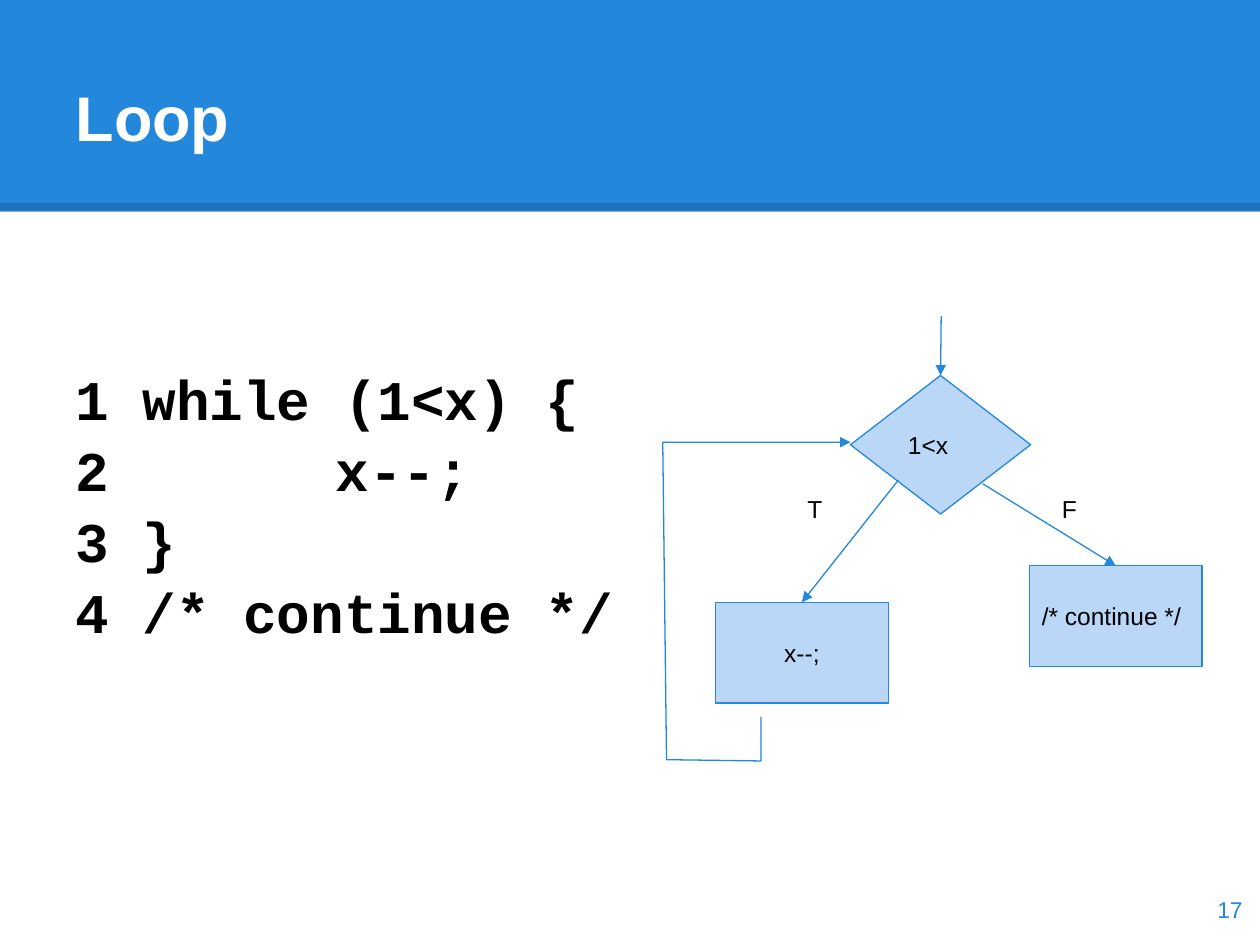
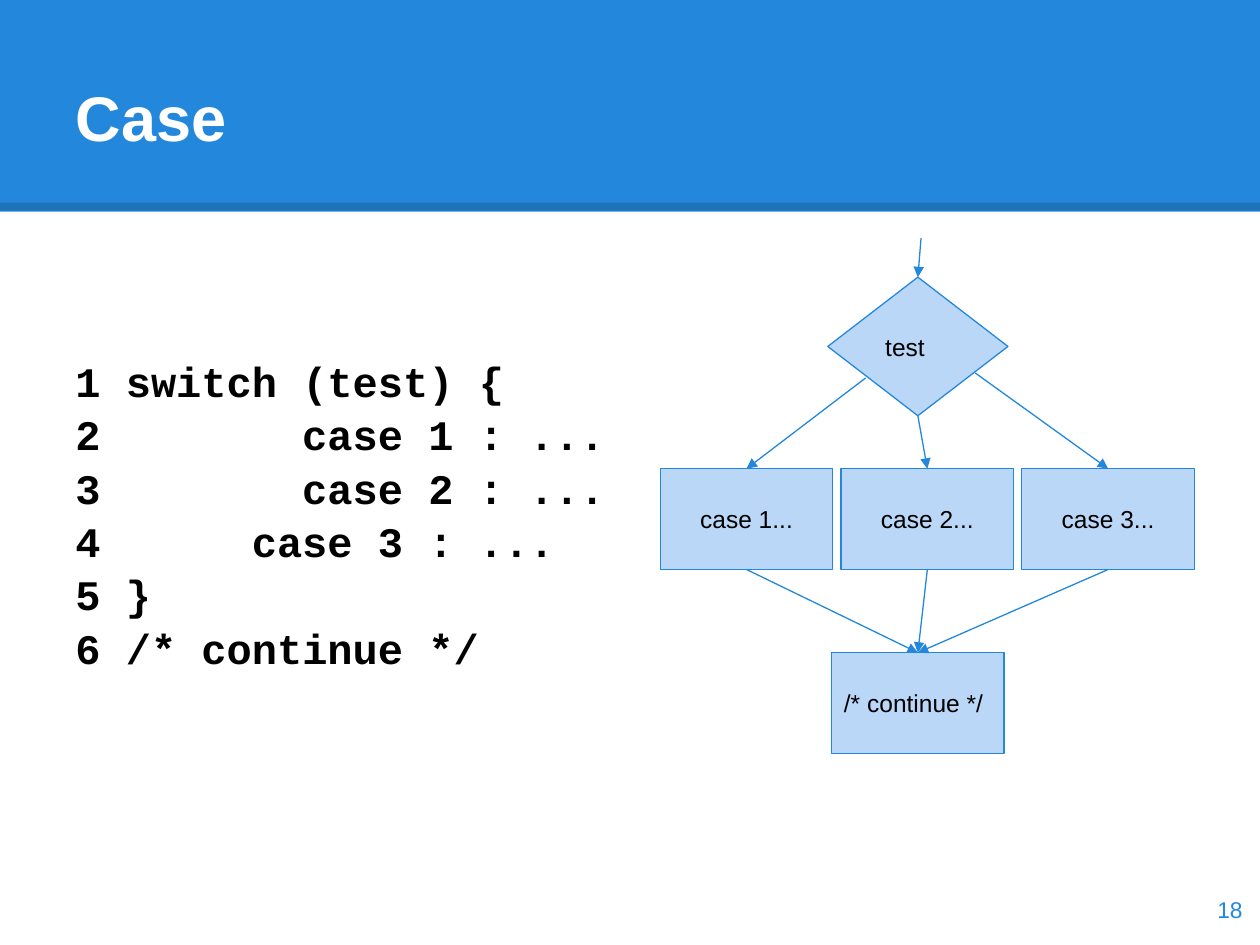
from lxml import etree
from pptx import Presentation
from pptx.dml.color import RGBColor
from pptx.enum.shapes import MSO_CONNECTOR, MSO_SHAPE
from pptx.enum.text import MSO_ANCHOR, PP_ALIGN
from pptx.oxml.ns import qn
from pptx.util import Inches, Pt

RECT, RHOMB = MSO_SHAPE.RECTANGLE, MSO_SHAPE.DIAMOND
LINE = MSO_CONNECTOR.STRAIGHT
LEFT, MID, RIGHT = PP_ALIGN.LEFT, PP_ALIGN.CENTER, PP_ALIGN.RIGHT
TOP, CENTER = MSO_ANCHOR.TOP, MSO_ANCHOR.MIDDLE

BLUE = RGBColor(0x23, 0x88, 0xDB)
PALE = RGBColor(0xBB, 0xD7, 0xF8)
BLACK = RGBColor(0, 0, 0)
WHITE = RGBColor(255, 255, 255)

W, H = 10, 7.5
BAND, RULE = 1.68, 1.64
SIZES = {RECT: (1.37, 0.8), RHOMB: (1.43, 1.1)}
COL, ROW = 1.435, 3.72   # case boxes: pitch and top

HEAD = dict(name="Arial", size=Pt(36), bold=True, color=WHITE)
NODE = dict(name="Arial", size=Pt(14), color=BLACK)
FOOT = dict(name="Arial", size=Pt(13), color=BLUE)
CODE = dict(name="Courier New", bold=True, color=BLACK)

# Nodes: name -> (text, kind, left, top, alignment)
# Links: a name as start means its bottom, a name as end means its top
SLIDES = [
    dict(
        title="Loop", wide=7.72, page="17", size=32, at=(0.5, 2.72, 5.16, 2.23),
        code=["1 while (1<x) {", "2\t    x--;", "3 }", "4 /* continue */"],
        nodes={
            "test": ("1<x", RHOMB, 6.75, 2.98, LEFT),
            "step": ("x--;", RECT, 5.68, 4.78, MID),
            "next": ("/* continue */", RECT, 8.17, 4.49, LEFT),
        },
        links=[((7.47, 2.51), "test"), ((7.13, 3.81), "step"),
               ((7.8, 3.84), "next")],
        tags=[("T", 6.31, 3.82), ("F", 8.33, 3.82)],
        back=[(6.04, 5.69), (6.04, 6.04), (5.29, 6.03), (5.26, 3.51),
              (6.75, 3.51)],
    ),
    dict(
        title="Case", wide=8.06, page="18", size=24, at=(0.5, 2.68, 4.98, 3.3),
        code=["1 switch (test) {", "2\t    case 1 : ...", "3\t    case 2 : ...",
              "4 \t  case 3 : ...", "5 }", "6 /* continue */"],
        nodes={
            "test": ("test", RHOMB, 6.57, 2.2, LEFT),
            **{f"case {i + 1}": (f"case {i + 1}...", RECT, 5.24 + i * COL, ROW, MID)
               for i in range(3)},
            "next": ("/* continue */", RECT, 6.6, 5.18, LEFT),
        },
        links=[((7.31, 1.89), "test"), ((6.87, 3), "case 1"),
               ("test", "case 2"), ((7.74, 2.96), "case 3"),
               *[(f"case {i}", "next") for i in (1, 2, 3)]],
        tags=[],
        back=[],
    ),
]


def inch(*vals):
    return [Inches(v) for v in vals]


def write(shape, lines, look, align=LEFT, anchor=CENTER, pads=(0.1,) * 4,
          tab=None, gap=None):
    """Fill a shape with formatted paragraphs; pads are left, top, right, bottom."""
    frame = shape.text_frame
    frame.word_wrap = True
    frame.vertical_anchor = anchor
    for side, pad in zip(("left", "top", "right", "bottom"), pads):
        setattr(frame, "margin_" + side, Inches(pad))
    frame.text = "\n".join(lines)
    for para in frame.paragraphs:
        para.alignment = align
        if gap:
            para.line_spacing = gap
        if tab:
            stops = etree.SubElement(para._p.get_or_add_pPr(), qn("a:tabLst"))
            etree.SubElement(stops, qn("a:tab"), pos=str(Inches(tab)), algn="l")
        for key, val in look.items():
            if key == "color":
                para.font.color.rgb = val
            else:
                setattr(para.font, key, val)


def label(slide, at, lines, look, **opts):
    write(slide.shapes.add_textbox(*inch(*at)), lines, look, **opts)


def stroke(shape, arrow=True):
    shape.line.color.rgb = BLUE
    shape.line.width = Pt(0.75)
    if arrow:
        etree.SubElement(shape.line._get_or_add_ln(), qn("a:tailEnd"),
                         type="triangle")


def join(slide, start, end):
    line = slide.shapes.add_connector(LINE, *inch(*start, *end))
    etree.SubElement(line._element.spPr, qn("a:effectLst"))
    return line


def frame(slide, data):
    """Band, rule, title and page number."""
    band = slide.shapes.add_shape(RECT, *inch(0, 0, W, BAND))
    band.shadow.inherit = False
    band.fill.solid()
    band.fill.fore_color.rgb = BLUE
    band.line.fill.background()

    rule = join(slide, (0, RULE), (W, RULE))
    rule.line.color.rgb = BLACK
    rule.line.width = Pt(4.5)
    tint = rule.line._get_or_add_ln().find(".//" + qn("a:srgbClr"))
    etree.SubElement(tint, qn("a:alpha"), val="15000")

    title = slide.shapes.title
    title.left, title.top, title.width, title.height = inch(
        0.5, 0.3, data["wide"], 1.25)
    write(title, [data["title"]], HEAD, pads=(0.1, 0.05, 0.05, 0.05))
    slide.shapes._spTree.append(title._element)   # bring in front of the band
    label(slide, (9.36, 6.93, 0.6, 0.57), [data["page"]], FOOT, align=RIGHT)


def chart(slide, data):
    """Flow chart: nodes, links, branch tags and the way back."""
    ports = {}
    for name, (text, kind, x, y, align) in data["nodes"].items():
        w, h = SIZES[kind]
        node = slide.shapes.add_shape(kind, *inch(x, y, w, h))
        node.shadow.inherit = False
        node.fill.solid()
        node.fill.fore_color.rgb = PALE
        stroke(node, arrow=False)
        write(node, [text], NODE, align=align)
        ports[name] = (x + w / 2, y), (x + w / 2, y + h)

    for start, end in data["links"]:
        if start in ports:
            start = ports[start][1]
        stroke(join(slide, start, ports[end][0]))

    for text, x, y in data["tags"]:
        label(slide, (x, y, 0.44, 0.3), [text], NODE, anchor=TOP)

    if data["back"]:
        first, *rest = [inch(*point) for point in data["back"]]
        pen = slide.shapes.build_freeform(*first)
        pen.add_line_segments(rest, close=False)
        path = pen.convert_to_shape()
        path.shadow.inherit = False
        path.fill.background()
        stroke(path)


def main():
    deck = Presentation()
    deck.slide_width, deck.slide_height = inch(W, H)
    for data in SLIDES:
        slide = deck.slides.add_slide(deck.slide_layouts[5])
        frame(slide, data)
        size = data["size"]
        label(slide, data["at"], data["code"], {**CODE, "size": Pt(size)},
              anchor=TOP, pads=(0.1, 0.05 + size / 360, 0.1, 0.05),
              tab=1, gap=1.06)
        chart(slide, data)
    deck.save("out.pptx")


if __name__ == "__main__":
    main()
